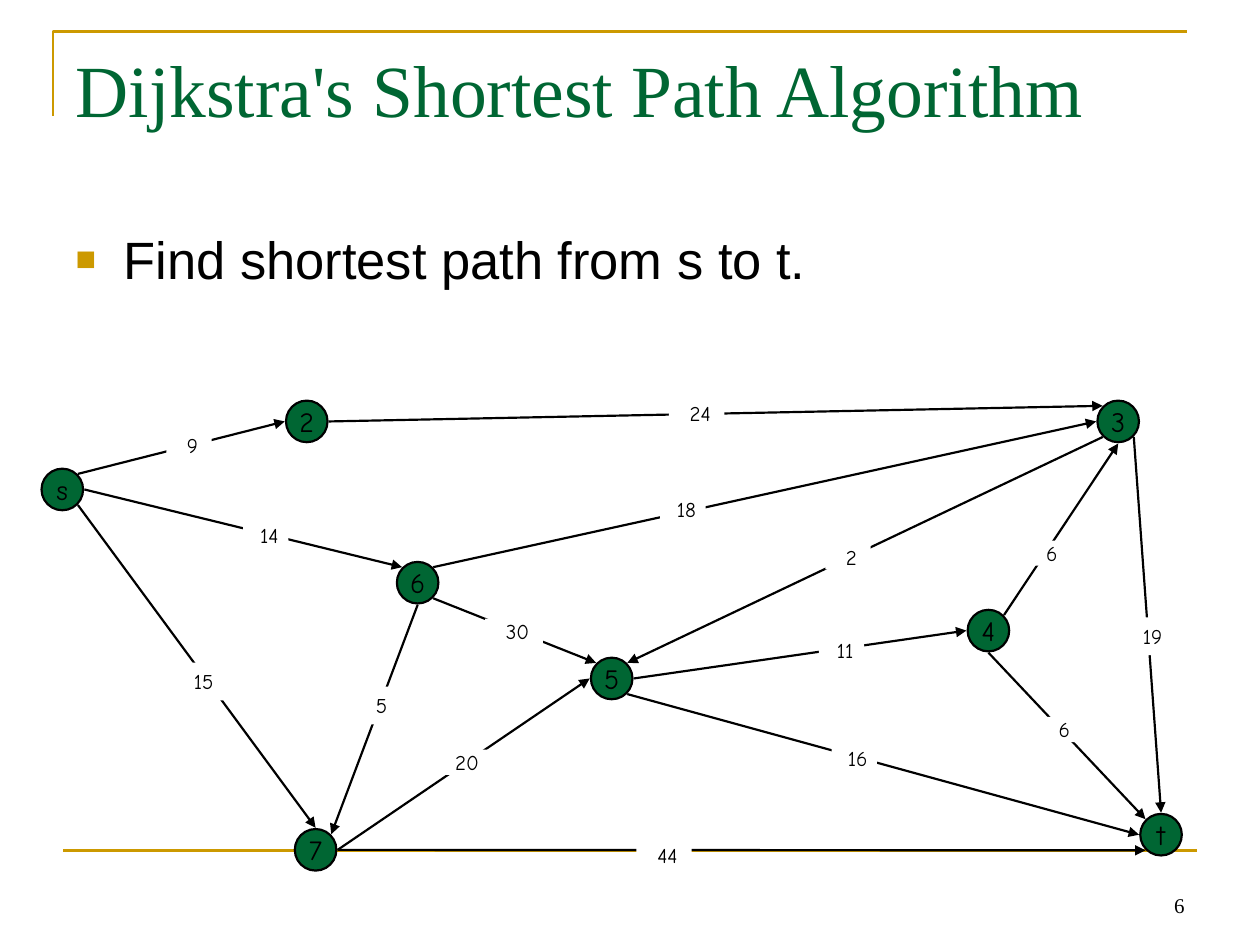
from dataclasses import dataclass
from math import sqrt

from pptx import Presentation
from pptx.dml.color import RGBColor
from pptx.enum.shapes import MSO_CONNECTOR as Link, MSO_SHAPE as Preset
from pptx.enum.text import MSO_ANCHOR as Anchor, MSO_AUTO_SIZE as Fit, PP_ALIGN as Align
from pptx.oxml.ns import qn
from pptx.util import Inches, Pt
from lxml.etree import SubElement

COLUMNS, ROWS = 100, 75          # grid over the whole slide
NODE_SIZE, PORT_RADIUS = 3.3, 1.75


@dataclass(frozen=True)
class Theme:
    green: RGBColor = RGBColor(0x00, 0x66, 0x33)
    gold: RGBColor = RGBColor(0xCC, 0x99, 0x00)
    black: RGBColor = RGBColor(0x00, 0x00, 0x00)
    white: RGBColor = RGBColor(0xFF, 0xFF, 0xFF)
    serif: str = "Times New Roman"
    sans: str = "Arial"
    hand: str = "Comic Neue"
    title_size: float = 42
    list_size: float = 30
    node_size: float = 16
    small_size: float = 12
    frame_line: float = 1.5
    graph_line: float = 1.25


class GraphSlide:
    def __init__(self, deck, theme):
        self.theme = theme
        self.slide = deck.slides.add_slide(deck.slide_layouts[1])
        self.shapes = self.slide.shapes
        self.column = deck.slide_width / COLUMNS
        self.row = deck.slide_height / ROWS

    def x(self, columns):
        return round(columns * self.column)

    def y(self, rows):
        return round(rows * self.row)

    def box(self, left, top, width, height):
        return self.x(left), self.y(top), self.x(width), self.y(height)

    def set_text(self, shape, text, font, size, color, align, anchor, margins=(0.1, 0.05), wrap=True):
        frame = shape.text_frame
        frame.auto_size = Fit.NONE
        frame.word_wrap = wrap
        frame.vertical_anchor = anchor
        frame.margin_left = frame.margin_right = Inches(margins[0])
        frame.margin_top = frame.margin_bottom = Inches(margins[1])
        paragraph = frame.paragraphs[0]
        paragraph.alignment = align
        paragraph.space_before = Pt(0)
        run = paragraph.add_run()
        run.text = text
        run.font.name, run.font.size = font, Pt(size)
        run.font.color.rgb = color
        return paragraph

    def fill_placeholder(self, index, area, text, font, size, color):
        holder = self.slide.placeholders[index]
        holder.left, holder.top, holder.width, holder.height = self.box(*area)
        return self.set_text(holder, text, font, size, color, Align.LEFT, Anchor.TOP)

    def title(self, area, text):
        self.fill_placeholder(0, area, text, self.theme.serif, self.theme.title_size, self.theme.green)

    def bullet(self, area, text):
        paragraph = self.fill_placeholder(1, area, text, self.theme.sans,
                                          self.theme.list_size, self.theme.black)
        settings = paragraph._p.get_or_add_pPr()
        settings.set("marL", str(Inches(0.38)))
        settings.set("indent", str(-Inches(0.38)))
        color = SubElement(settings, qn("a:buClr"))
        SubElement(color, qn("a:srgbClr"), val=str(self.theme.gold))
        SubElement(settings, qn("a:buSzPct"), val="65000")
        SubElement(settings, qn("a:buFont"), typeface=self.theme.sans)
        SubElement(settings, qn("a:buChar"), char="■")

    def corner(self, points):
        start, *rest = [(self.x(x), self.y(y)) for x, y in points]
        builder = self.shapes.build_freeform(*start)
        builder.add_line_segments(rest, close=False)
        outline = builder.convert_to_shape()
        outline.shadow.inherit = False
        outline.fill.background()
        outline.line.color.rgb = self.theme.gold
        outline.line.width = Pt(self.theme.frame_line)

    def line(self, start, end, color, width, arrow=False):
        link = self.shapes.add_connector(Link.STRAIGHT, self.x(start[0]), self.y(start[1]),
                                         self.x(end[0]), self.y(end[1]))
        link.line.color.rgb = color
        link.line.width = Pt(width)
        if arrow:
            SubElement(link._element.spPr.find(qn("a:ln")), qn("a:tailEnd"), type="triangle")
        SubElement(link._element.spPr, qn("a:effectLst"))

    def page_number(self, area, text):
        self.set_text(self.shapes.add_textbox(*self.box(*area)), text, self.theme.serif,
                      self.theme.small_size, self.theme.black, Align.RIGHT, Anchor.BOTTOM)

    def centred(self, preset, center, width, height, fill):
        shape = self.shapes.add_shape(preset, *self.box(center[0] - width / 2, center[1] - height / 2,
                                                        width, height))
        shape.shadow.inherit = False
        shape.fill.solid()
        shape.fill.fore_color.rgb = fill
        return shape

    def node(self, name, center):
        disc = self.centred(Preset.OVAL, center, NODE_SIZE, NODE_SIZE, self.theme.green)
        disc.line.color.rgb = self.theme.black
        disc.line.width = Pt(self.theme.graph_line)
        self.set_text(disc, name, self.theme.hand, self.theme.node_size, self.theme.black,
                      Align.CENTER, Anchor.MIDDLE, wrap=False)

    def edge(self, start, end):
        self.line(start, end, self.theme.black, self.theme.graph_line, arrow=True)

    def weight(self, value, center, width, height):
        plate = self.centred(Preset.RECTANGLE, center, width, height, self.theme.white)
        plate.line.fill.background()
        self.set_text(plate, f" {value}", self.theme.hand, self.theme.small_size, self.theme.black,
                      Align.CENTER, Anchor.MIDDLE, margins=(0, 0))


NODES = {
    "s": (4.95, 38.85), "3": (88.75, 33.45), "t": (92.15, 66.25), "2": (24.35, 33.45),
    "6": (33.15, 46.25), "7": (25.05, 67.45), "4": (78.45, 50.05), "5": (48.55, 53.85),
}

# from, side, to, side, weight, centre of the weight, its width and height
EDGES = [
    ("s", "NE", "2", "W", 9, (15, 35.3), 3.6, 2),
    ("s", "E", "6", "NW", 14, (21.1, 42.5), 3.6, 2),
    ("s", "SE", "7", "N", 15, (15.9, 54.1), 3.6, 3),
    ("6", "NE", "3", "W", 18, (54.2, 40.4), 3.6, 2),
    ("4", "NE", "3", "S", 6, (83.2, 43.9), 3.6, 2),
    ("6", "SE", "5", "NW", 30, (40.8, 50.1), 4.6, 2),
    ("5", "SE", "t", "W", 16, (67.8, 60.2), 3.6, 2),
    ("5", "E", "4", "W", 11, (66.8, 51.6), 3.6, 2),
    ("4", "S", "t", "NW", 6, (84.2, 57.9), 3.6, 2),
    ("3", "SW", "5", "NE", 2, (67.3, 44.2), 3.6, 2),
    ("6", "S", "7", "NE", 5, (30, 56), 3.6, 3),
    ("7", "E", "5", "W", 20, (36.8, 60.5), 4.4, 2),
    ("2", "E", "3", "NW", 24, (55.3, 32.8), 4.4, 2),
    ("7", "E", "t", "SW", 44, (52.7, 67.9), 4.4, 2),
    ("3", "SE", "t", "N", 19, (91.2, 50.5), 3.6, 3),
]


def port(name, side):
    """Point on a node's rim in a compass direction."""
    dx = ("E" in side) - ("W" in side)
    dy = ("S" in side) - ("N" in side)
    reach = PORT_RADIUS / sqrt(dx * dx + dy * dy)
    return NODES[name][0] + dx * reach, NODES[name][1] + dy * reach


def main():
    deck = Presentation()
    deck.slide_width, deck.slide_height = Inches(10), Inches(7.5)
    theme = Theme()
    page = GraphSlide(deck, theme)

    # Frame, heading and task
    page.corner([(4.2, 9.2), (4.2, 2.5), (94.2, 2.5)])
    page.line((5, 67.5), (95, 67.5), theme.gold, theme.frame_line)
    page.page_number((71.7, 68.3, 23.3, 5), "6")
    page.title((5, 3, 90, 12.5), "Dijkstra's Shortest Path Algorithm")
    page.bullet((5, 17.5, 90, 49.5), "Find shortest path from s to t.")

    # Graph: nodes, then arrows, then weights on top
    for name, center in NODES.items():
        page.node(name, center)
    for origin, leave, target, arrive, *_ in EDGES:
        page.edge(port(origin, leave), port(target, arrive))
    for *_, value, center, width, height in EDGES:
        page.weight(value, center, width, height)

    deck.save("out.pptx")


if __name__ == "__main__":
    main()
